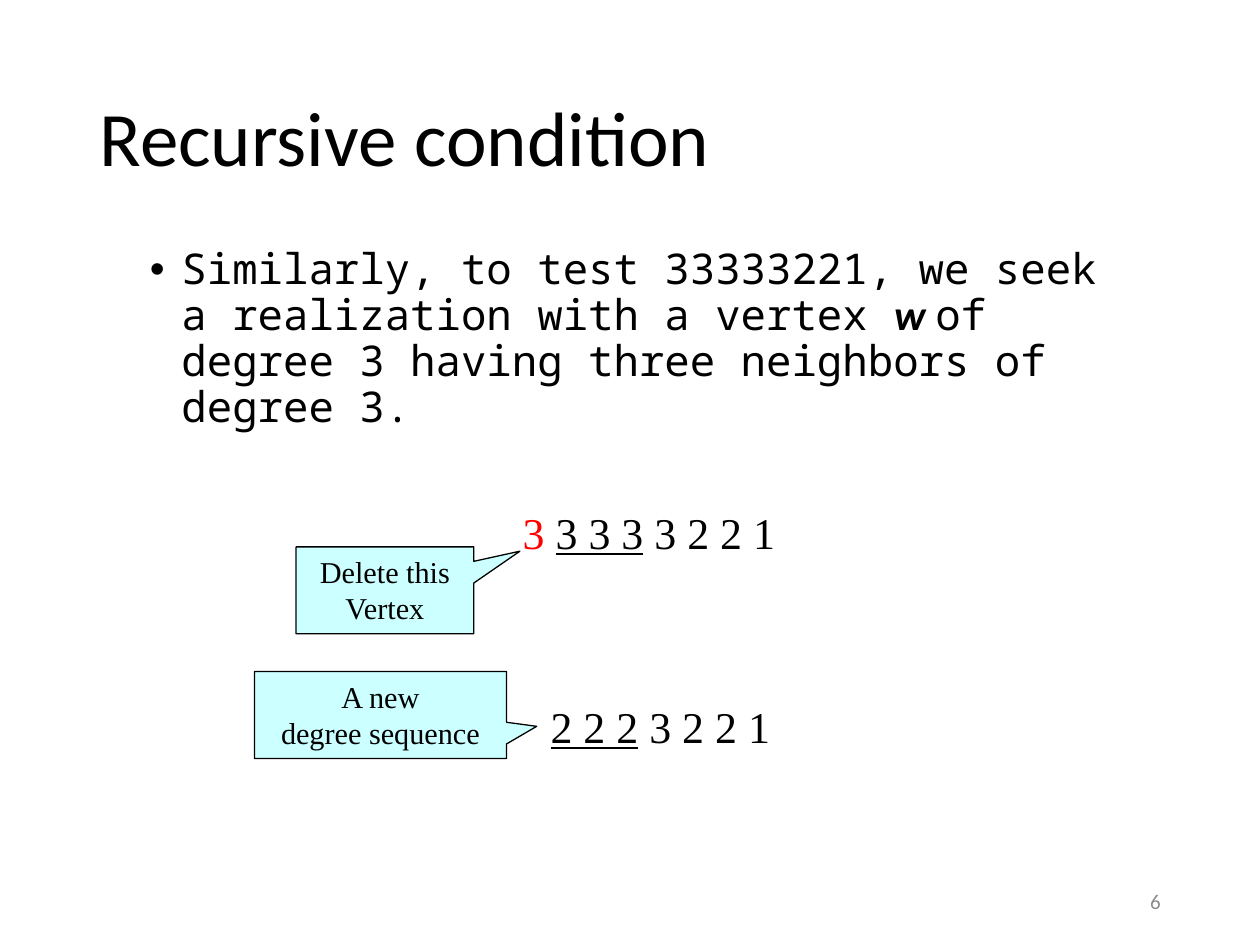
"""Build the slide on the recursive condition for degree sequences."""
from lxml.etree import SubElement
from pptx import Presentation
from pptx.dml.color import RGBColor
from pptx.enum.shapes import MSO_SHAPE as Shape
from pptx.enum.text import MSO_ANCHOR as Anchor, MSO_AUTO_SIZE as Fit, PP_ALIGN as Align
from pptx.oxml.ns import qn
from pptx.util import Inches, Pt

SERIF = "Times New Roman"
MONO = "Noto Sans Mono"
SANS = "Calibri"


def paint(code):
    return RGBColor.from_string(code)


def write(para, text, face=SERIF, size=25.1, color="000000", bold=False,
          italic=False, under=False, align=Align.LEFT):
    para.alignment = align
    run = para.add_run()
    run.text = text
    font = run.font
    font.name, font.size = face, Pt(size)
    font.bold, font.italic, font.underline = bold, italic, under
    font.color.rgb = paint(color)


deck = Presentation()
deck.slide_width, deck.slide_height = Inches(10), Inches(7.5)
col, row = deck.slide_width / 100, deck.slide_height / 75
slide = deck.slides.add_slide(deck.slide_layouts[1])
shapes = slide.shapes

title, body = shapes.title, slide.placeholders[1]
for holder, (x, y, w, h) in ((title, (6.9, 4, 86.2, 14.5)),
                             (body, (10.9, 19.2, 78.2, 16.5))):
    holder.left, holder.top = int(x * col), int(y * row)
    holder.width, holder.height = int(w * col), int(h * row)
    holder.text_frame.auto_size = Fit.NONE
    para = holder.text_frame.paragraphs[0]
    para.line_spacing, para.space_before = 0.9, Pt(0)

title.text_frame.vertical_anchor = Anchor.MIDDLE
write(title.text_frame.paragraphs[0], "Recursive condition", face=SANS, size=44)

para = body.text_frame.paragraphs[0]
props = para._p.get_or_add_pPr()
props.set("marL", str(Inches(0.25)))
props.set("indent", str(-Inches(0.25)))
SubElement(props, qn("a:buFont")).set("typeface", "Arial")
SubElement(props, qn("a:buChar")).set("char", "•")
write(para, "Similarly, to test 33333221, we seek a realization with a vertex ",
      face=MONO, size=24.2)
write(para, "w ", face=SANS, size=24.2, bold=True, italic=True)
write(para, "of degree 3 having three neighbors of degree 3.", face=MONO, size=24.2)

for x, y, inset, first, lined in ((40.5, 39.6, 1, "3 ", "3 3 3"),
                                  (40.1, 55, 3.6, "", "2 2 2")):
    box = shapes.add_textbox(int(x * col), int(y * row), int(32.1 * col), int(5.2 * row))
    frame = box.text_frame
    frame.word_wrap, frame.auto_size = True, Fit.SHAPE_TO_FIT_TEXT
    frame.margin_left = int(inset * col)
    para = frame.paragraphs[0]
    if first:
        write(para, first, color="FF0000")
    write(para, lined, under=True)
    write(para, " 3 2 2 1")

for x, y, w, tip, lines in (
        (23.5, 43.4, 14.1, (0.76, -0.45), ["Delete this Vertex"]),
        (20.2, 53.3, 20, (0.62, 0.13), ["A new", "degree sequence"])):
    note = shapes.add_shape(Shape.RECTANGULAR_CALLOUT, int(x * col), int(y * row),
                            int(w * col), int(6.9 * row))
    note.adjustments[0], note.adjustments[1] = tip
    note.shadow.inherit = False
    note.fill.solid()
    note.fill.fore_color.rgb = paint("CCFFFF")
    note.line.color.rgb = paint("000000")
    note.line.width = Pt(0.75)
    frame = note.text_frame
    frame.word_wrap, frame.vertical_anchor = True, Anchor.TOP
    for i, line in enumerate(lines):
        para = frame.add_paragraph() if i else frame.paragraphs[0]
        write(para, line, size=17.3, align=Align.CENTER)

page = shapes.add_textbox(int(70.6 * col), int(69.5 * row), int(22.5 * col), int(4 * row))
page.text_frame.word_wrap = True
page.text_frame.vertical_anchor = Anchor.MIDDLE
write(page.text_frame.paragraphs[0], "6", face=SANS, size=12, color="8C8C8C",
      align=Align.RIGHT)

deck.save("out.pptx")
